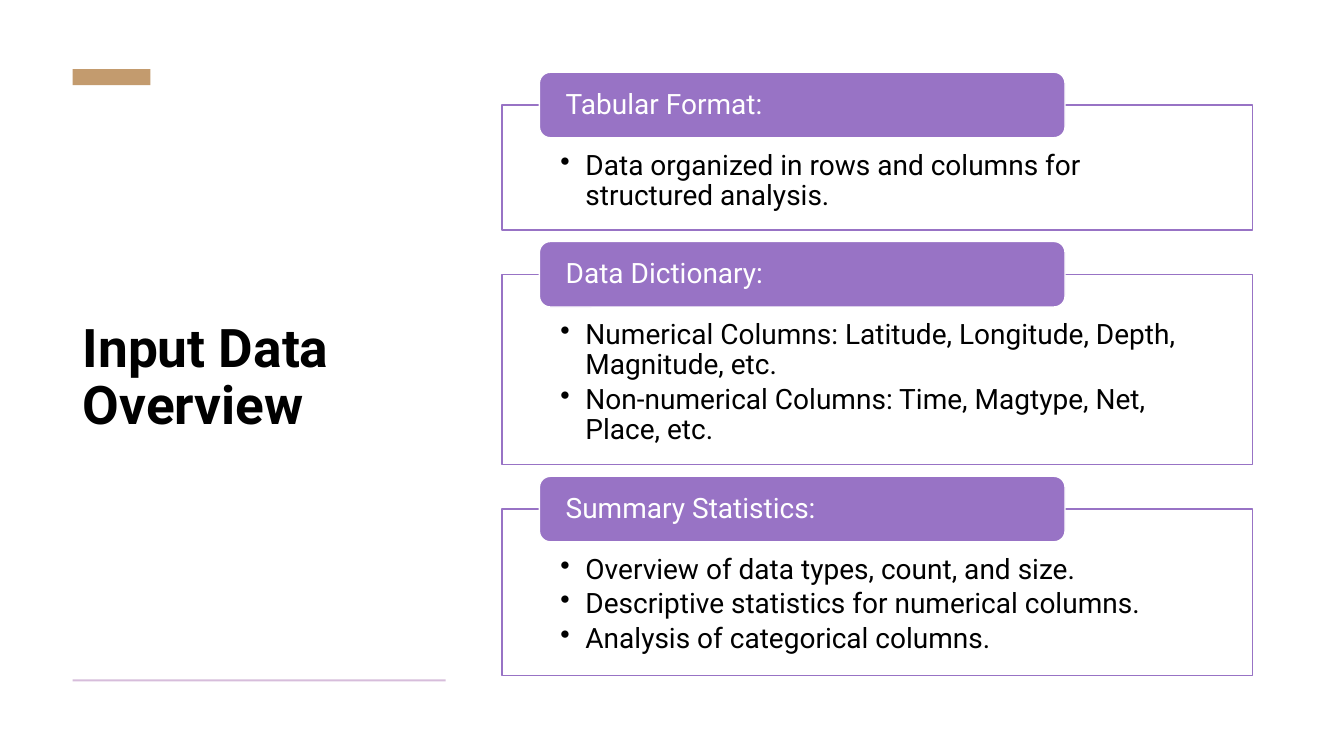
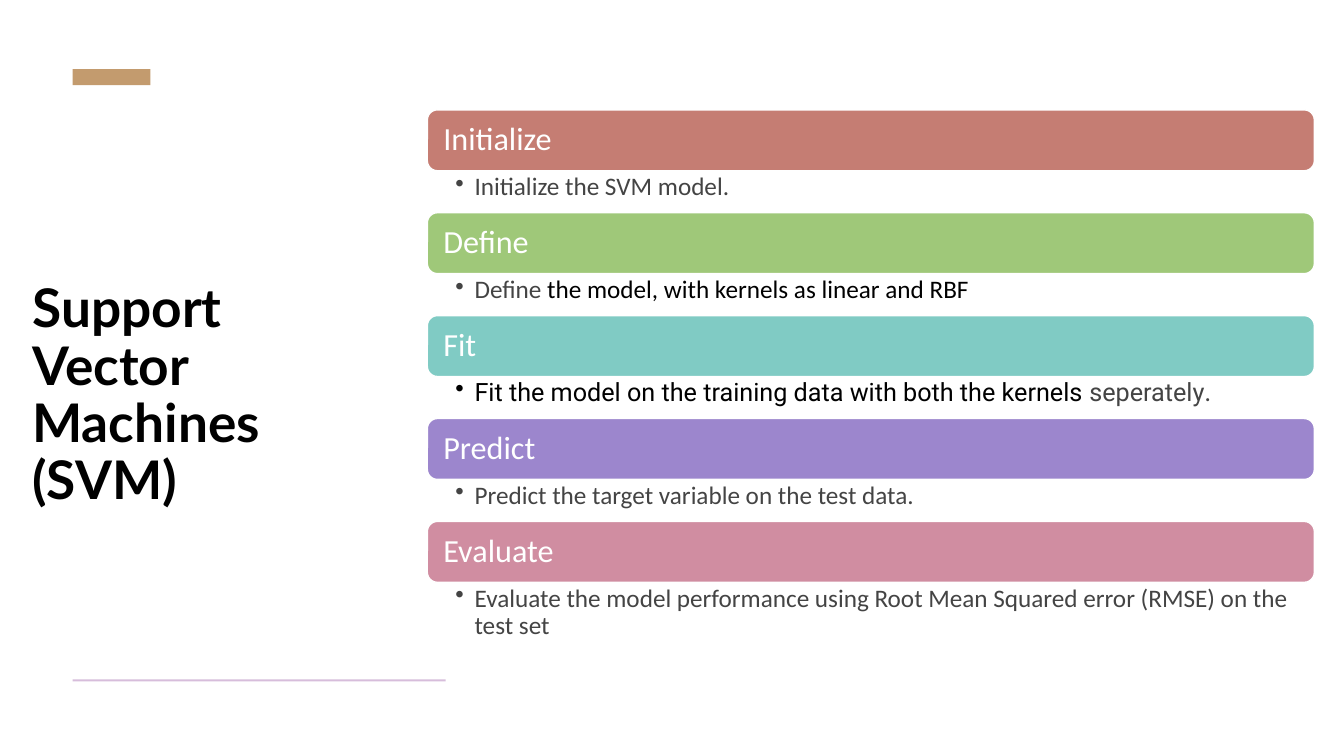
from typing import NamedTuple

from lxml.etree import SubElement
from pptx import Presentation
from pptx.dml.color import RGBColor
from pptx.enum.shapes import MSO_SHAPE
from pptx.enum.text import MSO_ANCHOR, MSO_AUTO_SIZE, PP_ALIGN
from pptx.oxml.ns import qn
from pptx.util import Emu, Pt

SLIDE_WIDTH, SLIDE_HEIGHT = 12192000, 6858000
COLUMNS, ROWS = 64, 36

WHITE, BLACK, GREY = "FFFFFF", "000000", "444444"
PURPLE, TAN, LILAC = "9873C5", "C39B6E", "D7BDDB"

TITLE_SIZE = 38
TITLE_WIDTH, TITLE_HEIGHT = 17.76, 25.97
MARGIN = 3.46


class Box(NamedTuple):
    """Hold a region in grid columns and rows."""
    left: float
    top: float
    width: float
    height: float


def columns(count):
    """Turn grid columns into a length."""
    return Emu(round(count * SLIDE_WIDTH / COLUMNS))


def rows(count):
    """Turn grid rows into a length."""
    return Emu(round(count * SLIDE_HEIGHT / ROWS))


def place(box):
    """Turn a grid box into left, top, width and height."""
    return columns(box.left), rows(box.top), columns(box.width), rows(box.height)


def rgb(code):
    """Turn a hex string into a colour."""
    return RGBColor.from_string(code)


def write(frame, paragraphs, *, size, font, color, bold=False, indent=None,
          insets=(0.48, 0.24, 0.48, 0.24), anchor=MSO_ANCHOR.TOP, after=0):
    """Fill a text frame with paragraphs of plain text or of (text, format) runs."""
    frame.word_wrap = True
    frame.auto_size = MSO_AUTO_SIZE.NONE
    frame.vertical_anchor = anchor
    left, top, right, bottom = insets
    frame.margin_left, frame.margin_right = columns(left), columns(right)
    frame.margin_top, frame.margin_bottom = rows(top), rows(bottom)
    for index, content in enumerate(paragraphs):
        paragraph = frame.add_paragraph() if index else frame.paragraphs[0]
        if indent:
            properties = paragraph._p.get_or_add_pPr()
            properties.set("marL", str(columns(indent)))
            properties.set("indent", str(-columns(indent)))
            SubElement(properties, qn("a:buChar")).set("char", "•")
        paragraph.alignment = PP_ALIGN.LEFT
        paragraph.line_spacing = 0.9
        paragraph.space_before = Pt(0)
        paragraph.space_after = Pt(after)
        runs = [(content, {})] if isinstance(content, str) else content
        for text, changes in runs:
            for number, line in enumerate(text.split("\n")):
                if number:
                    paragraph.add_line_break()
                run = paragraph.add_run()
                run.text = line
                run.font.size = Pt(size)
                run.font.bold = bold
                run.font.name = changes.get("font", font)
                run.font.color.rgb = rgb(changes.get("color", color))


def add_block(slide, box, fill, line=None, kind=MSO_SHAPE.RECTANGLE):
    """Draw a filled shape, outlined when a line colour is given."""
    block = slide.shapes.add_shape(kind, *place(box))
    block.shadow.inherit = False
    block.fill.solid()
    block.fill.fore_color.rgb = rgb(fill)
    if line:
        block.line.color.rgb = rgb(line)
        block.line.width = Pt(1)
    else:
        block.line.fill.background()
    return block


def add_heading(slide, box, text, fill, inset, size, font):
    """Draw a rounded bar with a white heading."""
    bar = add_block(slide, box, fill, WHITE, MSO_SHAPE.ROUNDED_RECTANGLE)
    write(bar.text_frame, [text], size=size, font=font, color=WHITE,
          insets=(inset, 0, inset, 0), anchor=MSO_ANCHOR.MIDDLE)


def add_titled_slide(deck, title, font, left, top):
    """Add a slide with its title, accent block and lower rule."""
    slide = deck.slides.add_slide(deck.slide_layouts[5])
    heading = slide.shapes.title
    heading.left, heading.top, heading.width, heading.height = place(
        Box(left, top, TITLE_WIDTH, TITLE_HEIGHT))
    write(heading.text_frame, [title], size=TITLE_SIZE, font=font, color=BLACK,
          bold=True, anchor=MSO_ANCHOR.MIDDLE)
    add_block(slide, Box(MARGIN, 3.29, 3.7, 0.77), TAN)
    add_block(slide, Box(MARGIN, 32.35, TITLE_WIDTH, 0.1), LILAC)
    return slide


def add_panel(slide, box, heading, bullets):
    """Draw a framed bullet list with a heading tab over its top edge."""
    frame = add_block(slide, box, WHITE, PURPLE)
    write(frame.text_frame, bullets, size=20, font="Roboto", color=BLACK,
          indent=1.2, insets=(2.78, 2.2, 2.78, 0.77), after=3)
    tab_height = 3.12
    tab = Box(box.left + 0.05 * box.width, box.top - tab_height / 2,
              0.7 * box.width, tab_height)
    add_heading(slide, tab, heading, PURPLE, 1.1, 20, "Roboto")


def add_panels(slide, box, panels):
    """Stack panels, sharing the height left over by equal gaps."""
    gap = (box.height - sum(height for _, height, _ in panels)) / (len(panels) - 1)
    top = box.top
    for heading, height, bullets in panels:
        add_panel(slide, Box(box.left, top, box.width, height), heading, bullets)
        top += height + gap


def add_steps(slide, box, steps):
    """Stack coloured step bars at an even pitch, each with a bullet below."""
    pitch = box.height / len(steps)
    bar_height = 2.9
    for index, (heading, fill, detail) in enumerate(steps):
        bar = Box(box.left, box.top + index * pitch, box.width, bar_height)
        add_heading(slide, bar, heading, fill, 0.62, 23, "Calibri")
        below = bar._replace(top=bar.top + bar_height, height=pitch - bar_height)
        note = slide.shapes.add_textbox(*place(below))
        write(note.text_frame, [detail], size=18, font="Calibri", color=GREY,
              indent=0.91, insets=(1.34, 0.16, 0.86, 0.14))


def main():
    """Build and save the deck."""
    deck = Presentation()
    deck.slide_width, deck.slide_height = SLIDE_WIDTH, SLIDE_HEIGHT

    overview = add_titled_slide(deck, "Input Data Overview", "Roboto", MARGIN, 5.04)
    add_panels(overview, Box(23.9, 5, 35.76, 27.16), [
        ("Tabular Format:", 5.95,
         ["Data organized in rows and columns for structured analysis."]),
        ("Data Dictionary:", 9.07,
         ["Numerical Columns: Latitude, Longitude, Depth, Magnitude, etc.",
          "Non-numerical Columns: Time, Magtype, Net, Place, etc."]),
        ("Summary Statistics:", 7.92,
         ["Overview of data types, count, and size.",
          "Descriptive statistics for numerical columns.",
          "Analysis of categorical columns."]),
    ])

    machines = add_titled_slide(
        deck, "Support\nVector Machines (SVM)", "Lato", 1.06, 5.9)
    add_steps(machines, Box(20.35, 5.23, 42.24, 24.5), [
        ("Initialize", "C57D73", "Initialize the SVM model."),
        ("Define", "9FC879",
         [("Define ", {}),
          ("the model, with kernels as linear and RBF", {"color": BLACK})]),
        ("Fit", "80CBC4",
         [("Fit the model on the training data with both the kernels ",
           {"font": "Roboto", "color": BLACK}),
          ("seperately", {"font": "Roboto"}),
          (".", {})]),
        ("Predict", "9C86CD", "Predict the target variable on the test data."),
        ("Evaluate", "D08DA1",
         "Evaluate the model performance using Root Mean Squared error (RMSE) "
         "on the test set"),
    ])

    deck.save("out.pptx")


if __name__ == "__main__":
    main()
